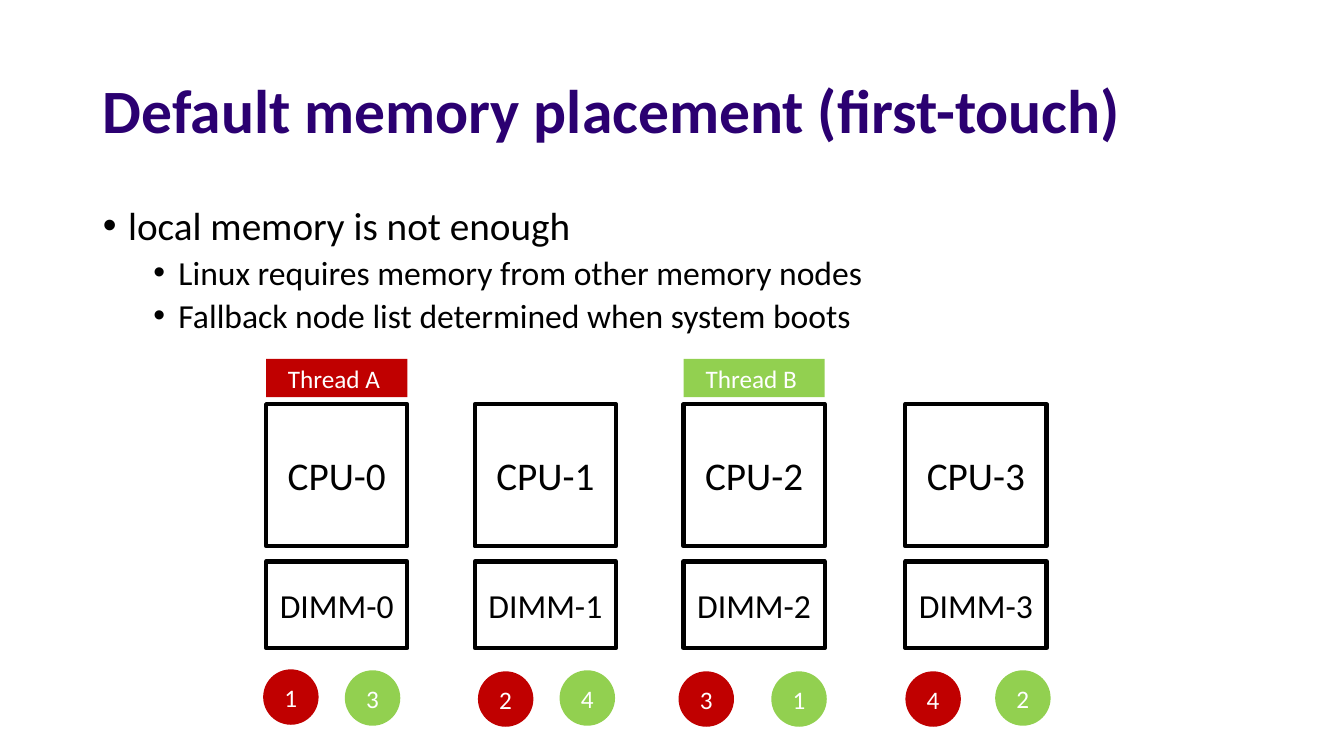
import pptx
import pptx.util
import pptx.dml.color
import pptx.enum.shapes
import pptx.enum.text
from lxml import etree
from pptx.util import Inches, Pt

FONT = "Calibri"
BLACK, WHITE, PURPLE = "000000", "FFFFFF", "2B0071"
RED, GREEN = "C00000", "92D050"

TITLE = "Default memory placement (first-touch)"
BULLETS = [
    (0, "local memory is not enough"),
    (1, "Linux requires memory from other memory nodes"),
    (1, "Fallback node list determined when system boots"),
]
LEVELS = [(0.25, 28, 10), (0.75, 24, 5)]
NODE_LEFTS = [2.64, 4.71, 6.78, 8.98]
THREADS = [("Thread A ", RED, 0), ("Thread B ", GREEN, 2)]
PAGES = [
    (RED, [("1", 2.61, 6.64), ("2", 4.74, 6.66), ("3", 6.73, 6.66), ("4", 8.98, 6.66)]),
    (GREEN, [("3", 3.42, 6.65), ("4", 5.55, 6.65), ("1", 7.65, 6.66), ("2", 9.87, 6.65)]),
]

NODE_W, CPU_H, DIMM_H, THREAD_H, PAGE_D = 1.4, 1.41, 0.86, 0.38, 0.55
THREAD_TOP, CPU_TOP, DIMM_TOP = 3.56, 4.01, 5.57

RECT = pptx.enum.shapes.MSO_SHAPE.RECTANGLE
OVAL = pptx.enum.shapes.MSO_SHAPE.OVAL
MIDDLE = pptx.enum.text.MSO_ANCHOR.MIDDLE
ALIGN = pptx.enum.text.PP_ALIGN


def rgb(color):
    return pptx.dml.color.RGBColor.from_string(color)


def add_run(p, text, size, color, bold=False):
    r = p.add_run()
    r.text = text
    r.font.name = FONT
    r.font.size = Pt(size)
    r.font.bold = bold
    r.font.color.rgb = rgb(color)


def place(sp, left, top, width, height):
    sp.left, sp.top = Inches(left), Inches(top)
    sp.width, sp.height = Inches(width), Inches(height)
    tf = sp.text_frame
    tf.word_wrap = True
    tf.auto_size = pptx.enum.text.MSO_AUTO_SIZE.NONE
    return tf


def add_bullet(p, indent):
    pPr = p._p.get_or_add_pPr()
    pPr.set("marL", str(Inches(indent)))
    pPr.set("indent", str(Inches(-0.25)))
    ns = pptx.oxml.ns.qn
    etree.SubElement(pPr, ns("a:buFont"), typeface="Arial")
    etree.SubElement(pPr, ns("a:buChar"), char="•")


def add_box(s, kind, left, top, width, height, text, size, fill, color=WHITE, line=None):
    sp = s.shapes.add_shape(kind, Inches(left), Inches(top), Inches(width), Inches(height))
    sp.shadow.inherit = False
    sp.fill.solid()
    sp.fill.fore_color.rgb = rgb(fill)
    if line:
        sp.line.color.rgb = rgb(line)
        sp.line.width = Pt(3)
    else:
        sp.line.fill.background()
    tf = sp.text_frame
    tf.word_wrap = True
    tf.vertical_anchor = MIDDLE
    p = tf.paragraphs[0]
    p.alignment = ALIGN.CENTER
    add_run(p, text, size, color)


def main():
    prs = pptx.Presentation()
    prs.slide_width, prs.slide_height = Inches(13.33), Inches(7.5)
    s = prs.slides.add_slide(prs.slide_layouts[1])

    tf = place(s.shapes.title, 0.92, 0.4, 11.5, 1.45)
    tf.vertical_anchor = MIDDLE
    p = tf.paragraphs[0]
    p.alignment = ALIGN.LEFT
    p.line_spacing = 0.9
    add_run(p, TITLE, 44, PURPLE, True)

    tf = place(s.placeholders[1], 0.92, 2, 11.5, 4.76)
    for i, (level, text) in enumerate(BULLETS):
        indent, size, before = LEVELS[level]
        p = tf.add_paragraph() if i else tf.paragraphs[0]
        add_bullet(p, indent)
        p.level = level
        p.line_spacing = 0.9
        p.space_before = Pt(before if i else 0)
        add_run(p, text, size, BLACK)

    for i, left in enumerate(NODE_LEFTS):
        add_box(s, RECT, left, CPU_TOP, NODE_W, CPU_H, f"CPU-{i}", 28, WHITE, BLACK, BLACK)
        add_box(s, RECT, left, DIMM_TOP, NODE_W, DIMM_H, f"DIMM-{i}", 24, WHITE, BLACK, BLACK)

    for name, color, node in THREADS:
        add_box(s, RECT, NODE_LEFTS[node], THREAD_TOP, NODE_W, THREAD_H, name, 18, color)

    for color, pages in PAGES:
        for number, left, top in pages:
            add_box(s, OVAL, left, top, PAGE_D, PAGE_D, number, 18, color)

    prs.save("out.pptx")


if __name__ == "__main__":
    main()
